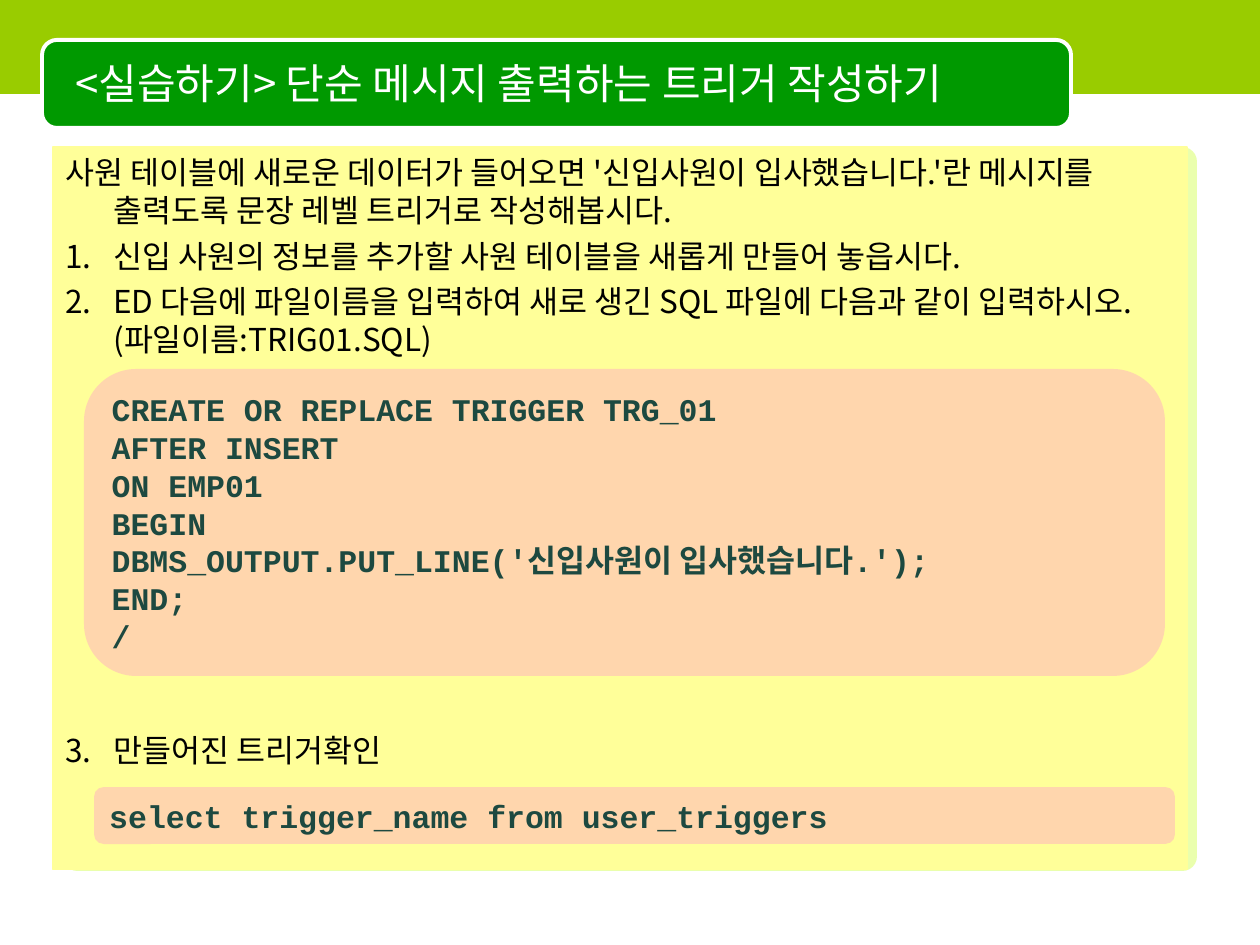
"""Build the slide on writing a trigger that prints a simple message."""
from dataclasses import dataclass

from pptx import Presentation
from pptx.dml.color import RGBColor
from pptx.enum.shapes import MSO_SHAPE
from pptx.enum.text import MSO_ANCHOR, PP_ALIGN
from pptx.oxml.ns import qn
from pptx.oxml.xmlchemy import OxmlElement
from pptx.util import Pt

RECT, ROUND = MSO_SHAPE.RECTANGLE, MSO_SHAPE.ROUNDED_RECTANGLE
TOP, MIDDLE = MSO_ANCHOR.TOP, MSO_ANCHOR.MIDDLE
LEFT = PP_ALIGN.LEFT
PX = 914400 // 126


@dataclass(frozen=True)
class Theme:
    band: str = "99CC00"
    header: str = "009900"
    white: str = "FFFFFF"
    panel: str = "FFFF99"
    panel_edge: str = "CCFF33"
    code_fill: str = "FF99CC"
    code_ink: str = "1D4940"
    ink: str = "000000"
    sans: str = "Noto Sans CJK KR"
    mono: str = "Courier New"
    title_size: int = 24
    body_size: int = 18


THEME = Theme()

TITLE = "<실습하기> 단순 메시지 출력하는 트리거 작성하기"
INTRO = ("사원 테이블에 새로운 데이터가 들어오면 '신입사원이 입사했습니다.'란 "
         "메시지를 출력도록 문장 레벨 트리거로 작성해봅시다.")
STEPS = [
    "신입 사원의 정보를 추가할 사원 테이블을 새롭게 만들어 놓읍시다.",
    "ED 다음에 파일이름을 입력하여 새로 생긴 SQL 파일에 다음과 같이 "
    "입력하시오.(파일이름:TRIG01.SQL)",
    "만들어진 트리거확인",
]
CODE_BLOCKS = [
    ((84, 369, 1081, 307), [
        "CREATE OR REPLACE TRIGGER TRG_01",
        "AFTER INSERT",
        "ON EMP01",
        "BEGIN",
        "DBMS_OUTPUT.PUT_LINE('신입사원이 입사했습니다.');",
        "END;",
        "/",
    ]),
    ((94, 787, 1081, 57), ["select trigger_name from user_triggers"]),
]
STEP_GAP = 4.5
CODE_GAP = 213
INDENT = 48


def scale(box):
    return [value * PX for value in box]


def add_panel(slide, kind, box, fill, corner=None, alpha=None, line=None, width=0.75):
    panel = slide.shapes.add_shape(kind, *scale(box))
    panel.shadow.inherit = False
    panel.fill.solid()
    panel.fill.fore_color.rgb = RGBColor.from_string(fill)
    if corner is not None:
        panel.adjustments[0] = corner
    if alpha is not None:
        opacity = OxmlElement("a:alpha")
        opacity.set("val", str(alpha * 1000))
        panel.fill._xPr.find(qn("a:solidFill"))[0].append(opacity)
    if line:
        panel.line.color.rgb = RGBColor.from_string(line)
        panel.line.width = Pt(width)
    else:
        panel.line.fill.background()
    return panel


def write(holder, lines, size, latin, color, bold=False, anchor=MIDDLE):
    frame = holder.text_frame
    frame.word_wrap = True
    frame.vertical_anchor = anchor
    frame.text = "\n".join(lines)
    for paragraph in frame.paragraphs:
        paragraph.alignment = LEFT
        font = paragraph.font
        font.size = Pt(size)
        font.bold = bold
        font.name = latin
        font.color.rgb = RGBColor.from_string(color)
        east_asian = OxmlElement("a:ea")
        east_asian.set("typeface", THEME.sans)
        paragraph._p.pPr.find(qn("a:defRPr")).append(east_asian)
    return frame.paragraphs


def hang(paragraph, numbered):
    properties = paragraph._p.get_or_add_pPr()
    properties.set("marL", str(INDENT * PX))
    properties.set("indent", str(-INDENT * PX))
    if numbered:
        number = OxmlElement("a:buAutoNum")
        number.set("type", "arabicPeriod")
        properties.find(qn("a:defRPr")).addprevious(number)


def main():
    deck = Presentation()
    deck.slide_width, deck.slide_height = scale((1260, 945))
    slide = deck.slides.add_slide(deck.slide_layouts[6])

    add_panel(slide, ROUND, (63, 147, 1134, 724), THEME.panel_edge, 0.02, alpha=40)
    add_panel(slide, RECT, (0, 0, 1260, 94), THEME.band)
    add_panel(slide, ROUND, (42, 40, 1029, 88), THEME.header, 0.17,
              line=THEME.white, width=2.25)
    title = slide.shapes.add_textbox(*scale((63, 44, 998, 78)))
    write(title, [TITLE], THEME.title_size, THEME.sans, THEME.white)

    exercise = add_panel(slide, RECT, (53, 147, 1134, 723), THEME.panel, line=THEME.panel)
    paragraphs = write(exercise, [INTRO, *STEPS], THEME.body_size, THEME.sans,
                       THEME.ink, anchor=TOP)
    for index, paragraph in enumerate(paragraphs):
        paragraph.space_before = Pt(STEP_GAP)
        hang(paragraph, numbered=index > 0)
    paragraphs[-1].space_before = Pt(CODE_GAP)

    for box, lines in CODE_BLOCKS:
        block = add_panel(slide, ROUND, box, THEME.code_fill, 0.17, alpha=40)
        write(block, lines, THEME.body_size, THEME.mono, THEME.code_ink, bold=True)

    deck.save("out.pptx")


if __name__ == "__main__":
    main()
